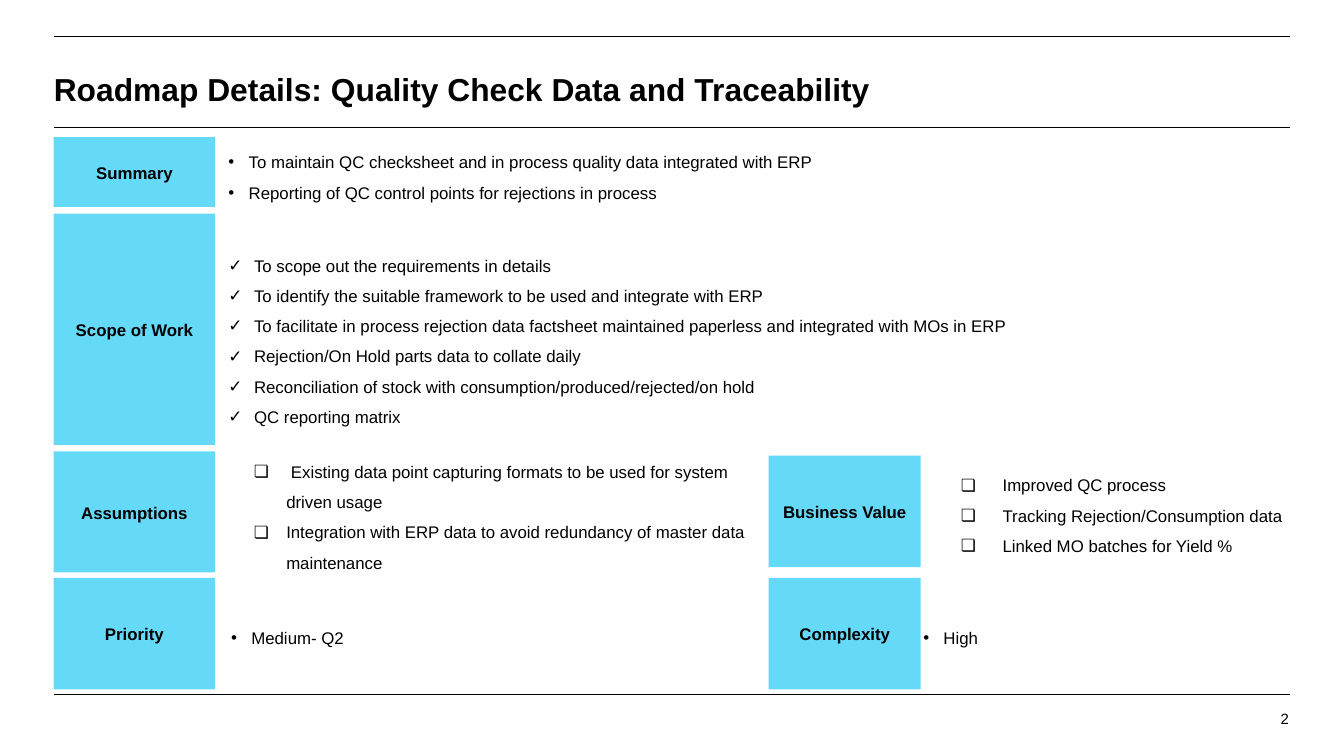
from dataclasses import dataclass

from lxml.etree import SubElement
from pptx import Presentation
from pptx.dml.color import RGBColor
from pptx.enum.shapes import MSO_CONNECTOR as Link, MSO_SHAPE as Shape
from pptx.enum.text import MSO_ANCHOR as Anchor, MSO_AUTO_SIZE as Fit, PP_ALIGN as Align
from pptx.oxml.ns import qn
from pptx.util import Inches, Pt

BLACK, CYAN = "000000", "65D9F8"
LEFT, RIGHT = 0.4, 9.6


@dataclass
class Label:
    text: str
    left: float
    top: float
    width: float
    height: float
    inset: float = 0.11


@dataclass
class Points:
    lines: list[str]
    left: float
    top: float
    width: float
    height: float
    mark: str = "•"
    indent: float = 0.15
    hang: float = 0.15
    anchor: Anchor = Anchor.MIDDLE


def color(code: str) -> RGBColor:
    return RGBColor.from_string(code)


def bullet(para, mark: str, indent: float, hang: float) -> None:
    props = para._p.get_or_add_pPr()
    props.set("marL", str(Inches(indent)))
    props.set("indent", str(-Inches(hang)))
    tint = SubElement(props, qn("a:buClr"))
    SubElement(tint, qn("a:srgbClr")).set("val", BLACK)
    SubElement(props, qn("a:buFont")).set("typeface", "Arial")
    SubElement(props, qn("a:buChar")).set("char", mark)


def write(shape, *lines: str, size: float = 9, bold: bool = False,
          align: Align = Align.LEFT, anchor: Anchor = Anchor.MIDDLE,
          inset: float = 0, spacing: float = 1.03, mark: str = "",
          indent: float = 0, hang: float = 0) -> None:
    frame = shape.text_frame
    frame.word_wrap = True
    frame.auto_size = Fit.NONE
    frame.vertical_anchor = anchor
    frame.margin_left = frame.margin_right = 0
    frame.margin_top = frame.margin_bottom = Inches(inset)
    for i, line in enumerate(lines):
        para = frame.add_paragraph() if i else frame.paragraphs[0]
        para.text = line
        para.alignment = align
        para.line_spacing = spacing
        if mark:
            bullet(para, mark, indent, hang)
        font = para.font
        font.name, font.size, font.bold = "Arial", Pt(size), bold
        font.color.rgb = color(BLACK)


def area(left: float, top: float, width: float, height: float) -> list:
    return [Inches(n) for n in (left, top, width, height)]


def add_rule(slide, top: float) -> None:
    rule = slide.shapes.add_connector(
        Link.STRAIGHT, Inches(LEFT), Inches(top), Inches(RIGHT), Inches(top))
    rule.line.color.rgb = color(BLACK)
    rule.line.width = Pt(0.75)
    SubElement(rule._element.spPr, qn("a:effectLst"))


def add_label(slide, label: Label) -> None:
    box = slide.shapes.add_shape(
        Shape.RECTANGLE, *area(label.left, label.top, label.width, label.height))
    box.shadow.inherit = False
    box.fill.solid()
    box.fill.fore_color.rgb = color(CYAN)
    box.line.fill.background()
    write(box, label.text, bold=True, align=Align.CENTER, inset=label.inset)


def add_points(slide, pts: Points) -> None:
    box = slide.shapes.add_textbox(*area(pts.left, pts.top, pts.width, pts.height))
    write(box, *pts.lines, anchor=pts.anchor, inset=0.07, spacing=1.5,
          mark=pts.mark, indent=pts.indent, hang=pts.hang)


LABELS = [
    Label("Summary", LEFT, 1.02, 1.2, 0.52, 0.2),
    Label("Scope of Work", LEFT, 1.59, 1.2, 1.72, 0.13),
    Label("Assumptions", LEFT, 3.36, 1.2, 0.9, 0.13),
    Label("Priority", LEFT, 4.3, 1.2, 0.83),
    Label("Business Value", 5.72, 3.39, 1.13, 0.83),
    Label("Complexity", 5.72, 4.3, 1.13, 0.83),
]

POINTS = [
    Points(["To maintain QC checksheet and in process quality data integrated with ERP",
            "Reporting of QC control points for rejections in process"],
           1.7, 1.02, 7.85, 0.52),
    Points(["To scope out the requirements in details",
            "To identify the suitable framework to be used and integrate with ERP",
            "To facilitate in process rejection data factsheet maintained paperless "
            "and integrated with MOs in ERP",
            "Rejection/On Hold parts data to collate daily",
            "Reconciliation of stock with consumption/produced/rejected/on hold",
            "QC reporting matrix"],
           1.7, 1.64, 7.85, 1.72, "✓", 0.19, 0.19),
    Points([" Existing data point capturing formats to be used for system driven usage",
            "Integration with ERP data to avoid redundancy of master data maintenance"],
           1.75, 3.36, 3.89, 0.9, "❏", 0.38, 0.24),
    Points(["Improved QC process",
            "Tracking Rejection/Consumption data",
            "Linked MO batches for Yield %"],
           6.96, 3.39, 2.78, 0.82, "❏", 0.5, 0.31, Anchor.TOP),
    Points(["Medium- Q2"], 1.72, 4.3, 3.55, 0.82),
    Points(["High"], 6.87, 4.3, 2.58, 0.82),
]


def main() -> None:
    deck = Presentation()
    # Widescreen, 16 to 9
    deck.slide_width = Inches(10)
    deck.slide_height = Inches(10) * 9 // 16
    slide = deck.slides.add_slide(deck.slide_layouts[5])

    # Frame rules
    for top in (0.27, 0.95, 5.17):
        add_rule(slide, top)

    # Title
    title = slide.shapes.title
    title.left, title.top, title.width, title.height = area(LEFT, 0.39, 9.19, 0.53)
    write(title, "Roadmap Details: Quality Check Data and Traceability",
          size=17, bold=True)

    # Sections
    for label in LABELS:
        add_label(slide, label)
    for pts in POINTS:
        add_points(slide, pts)

    # Page number
    page = slide.shapes.add_textbox(*area(8.24, 5.28, 1.35, 0.24))
    write(page, "2", size=8, align=Align.RIGHT, anchor=Anchor.TOP, spacing=1.0)

    deck.save("out.pptx")


if __name__ == "__main__":
    main()
